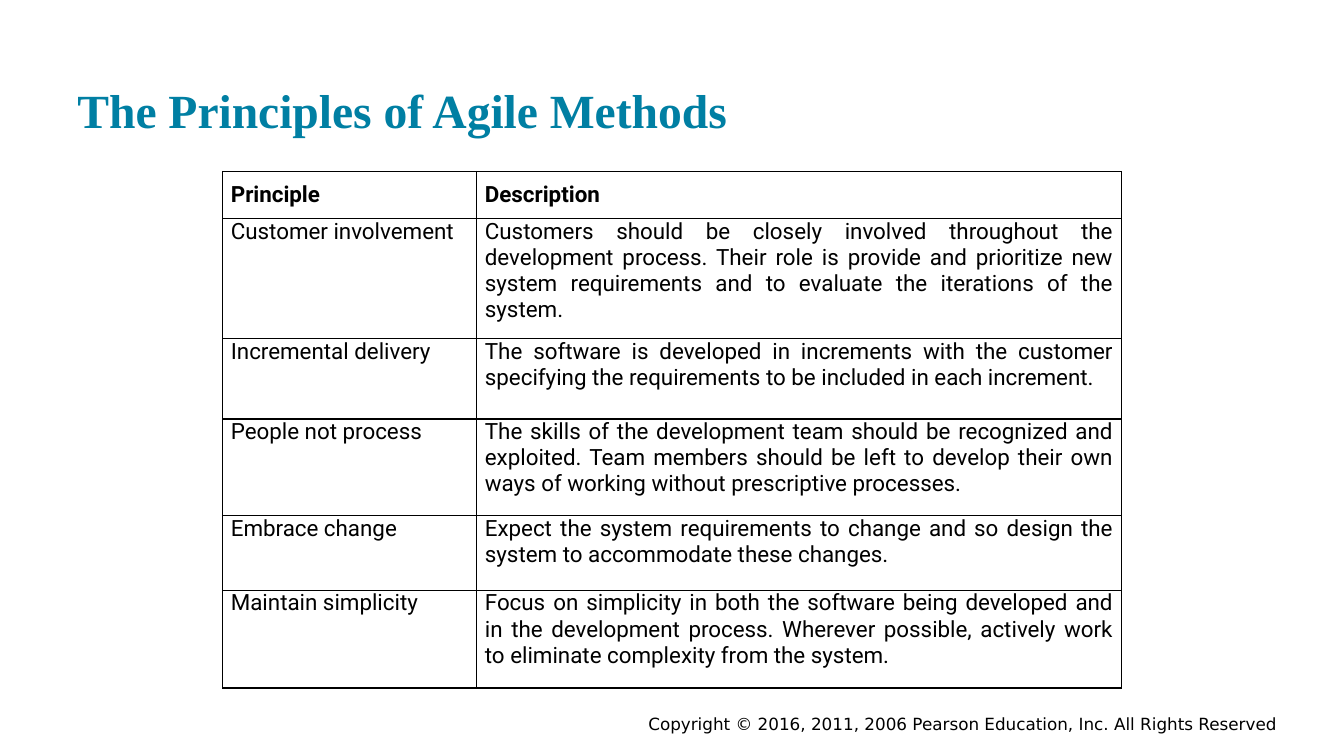
import pptx
import pptx.dml.color
import pptx.enum.text
import pptx.oxml
import pptx.oxml.ns
import pptx.util
from pptx.util import Inches

RGBColor = pptx.dml.color.RGBColor
Align = pptx.enum.text.PP_ALIGN
Anchor = pptx.enum.text.MSO_ANCHOR

# Content
TITLE = "The Principles of Agile Methods"
COPYRIGHT = "Copyright © 2016, 2011, 2006 Pearson Education, Inc. All Rights Reserved"
PRINCIPLES = [
    ("Principle", "Description"),
    ("Customer involvement",
     "Customers should be closely involved throughout the development process. "
     "Their role is provide and prioritize new system requirements and to "
     "evaluate the iterations of the system."),
    ("Incremental delivery",
     "The software is developed in increments with the customer specifying the "
     "requirements to be included in each increment."),
    ("People not process",
     "The skills of the development team should be recognized and exploited. "
     "Team members should be left to develop their own ways of working without "
     "prescriptive processes."),
    ("Embrace change",
     "Expect the system requirements to change and so design the system to "
     "accommodate these changes."),
    ("Maintain simplicity",
     "Focus on simplicity in both the software being developed and in the "
     "development process. Wherever possible, actively work to eliminate "
     "complexity from the system."),
]
COLUMN_WIDTHS = [2.52, 6.39]
ROW_HEIGHTS = [0.46, 1.19, 0.8, 0.96, 0.74, 0.97]

BLACK = RGBColor(0x00, 0x00, 0x00)
WHITE = RGBColor(0xFF, 0xFF, 0xFF)
TEAL = RGBColor(0x00, 0x7F, 0xA3)


def write_text(frame, text, *, font, size, color=BLACK, bold=False, align=Align.LEFT):
    para = frame.paragraphs[0]
    para.alignment = align
    span = para.add_run()
    span.text = text
    span.font.name = font
    span.font.size = pptx.util.Pt(size)
    span.font.color.rgb = color
    span.font.bold = bold


def add_text_box(page, place, text, anchor=Anchor.TOP, **style):
    box = page.shapes.add_textbox(*map(Inches, place))
    frame = box.text_frame
    frame.word_wrap = True
    frame.vertical_anchor = anchor
    write_text(frame, text, **style)


def add_borders(cell):
    properties = cell._tc.get_or_add_tcPr()
    for side in ("lnL", "lnR", "lnT", "lnB"):
        properties.append(pptx.oxml.parse_xml(
            f'<a:{side} {pptx.oxml.ns.nsdecls("a")} w="12700"><a:solidFill>'
            f'<a:srgbClr val="{BLACK}"/></a:solidFill></a:{side}>'))


def add_principles_table(page):
    frame = page.shapes.add_table(
        len(ROW_HEIGHTS), len(COLUMN_WIDTHS), Inches(2.21), Inches(1.7),
        Inches(sum(COLUMN_WIDTHS)), Inches(sum(ROW_HEIGHTS)))
    table = frame.table
    table.first_row = False
    table.horz_banding = False
    for column, width in zip(table.columns, COLUMN_WIDTHS):
        column.width = Inches(width)
    for index, (row, height) in enumerate(zip(table.rows, ROW_HEIGHTS)):
        row.height = Inches(height)
        header = index == 0
        for cell, text in zip(row.cells, PRINCIPLES[index]):
            cell.margin_left = cell.margin_right = Inches(0.08)
            cell.margin_top = Inches(0.1 if header else 0)
            cell.margin_bottom = Inches(0.1)
            add_borders(cell)
            cell.fill.solid()
            cell.fill.fore_color.rgb = WHITE
            write_text(cell.text_frame, text, font="Roboto", size=16,
                       bold=header, align=Align.JUSTIFY)


def main():
    deck = pptx.Presentation()
    deck.slide_width, deck.slide_height = Inches(13.33), Inches(7.5)
    page = deck.slides.add_slide(deck.slide_layouts[6])

    # Footer, title and table
    add_text_box(page, (2.33, 7.03, 10.44, 0.22), COPYRIGHT,
                 font="DejaVu Sans", size=12, align=Align.RIGHT)
    add_text_box(page, (0.67, 0.25, 12, 1.17), TITLE, anchor=Anchor.BOTTOM,
                 font="Times New Roman", size=34, color=TEAL, bold=True)
    add_principles_table(page)

    deck.save("out.pptx")


if __name__ == "__main__":
    main()
